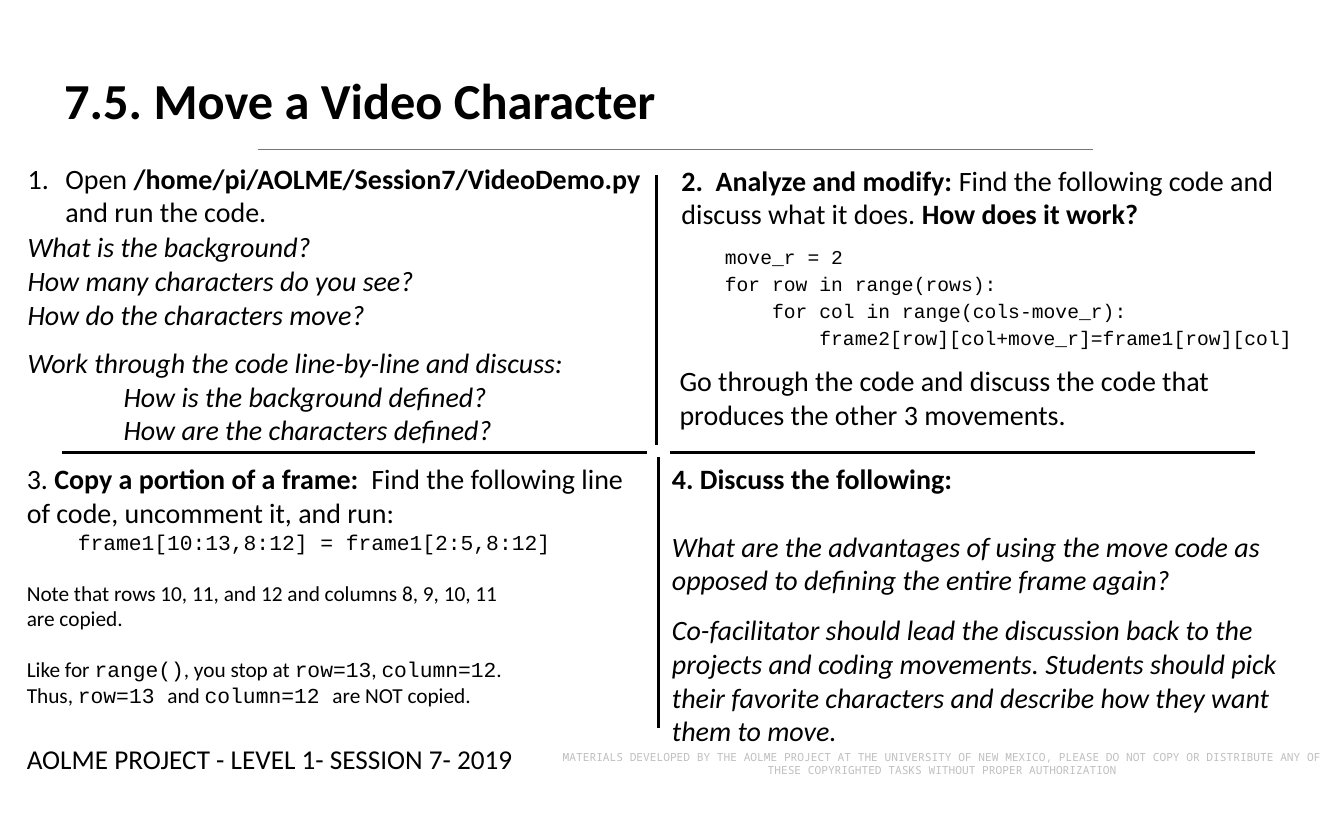
import collections
import pptx
import pptx.dml.color
import pptx.enum.shapes
import pptx.enum.text
import pptx.oxml.ns
import pptx.util
from lxml import etree

Cm, Pt = pptx.util.Cm, pptx.util.Pt
RGBColor = pptx.dml.color.RGBColor
Align = pptx.enum.text.PP_ALIGN
Anchor = pptx.enum.text.MSO_ANCHOR
Fit = pptx.enum.text.MSO_AUTO_SIZE
qn = pptx.oxml.ns.qn

BLACK = RGBColor(0x00, 0x00, 0x00)
GRAY = RGBColor(0x76, 0x76, 0x76)
PALE = RGBColor(0xBF, 0xBF, 0xBF)

BODY = {"name": "Calibri", "size": Pt(21), "bold": False, "italic": False}
BOLD = BODY | {"bold": True}
ASK = BODY | {"italic": True}
NOTE = BODY | {"size": Pt(16)}
CODE = NOTE | {"name": "Courier New"}
LOOP = CODE | {"size": Pt(14.7)}
HEAD = BOLD | {"size": Pt(37.8)}
FOOT = BODY | {"size": Pt(20.4)}
LEGAL = BODY | {"name": "Noto Sans Mono", "size": Pt(8.4)}

Box = collections.namedtuple("Box", "left top width height")


def part(box, left, top, width, height):
    """Give the box that lies at an offset inside another one."""
    return Box(box.left + left, box.top + top, width, height)


def put(item, style):
    for key, value in style.items():
        setattr(item, key, value)


def para(*runs, left=0, first=0, number=False, **style):
    """Describe a paragraph: (text, font) runs, indents in cm, settings."""
    return runs, left, first, number, style


def write(slide, box, paras, color=BLACK, **frame):
    text = slide.shapes.add_textbox(*map(Cm, box)).text_frame
    put(text, {"word_wrap": True, "auto_size": Fit.SHAPE_TO_FIT_TEXT} | frame)
    for at, (runs, left, first, number, style) in enumerate(paras):
        line = text.add_paragraph() if at else text.paragraphs[0]
        props = line._p.get_or_add_pPr()
        props.set("marL", str(Cm(left)))
        props.set("indent", str(Cm(first)))
        if number:
            etree.SubElement(props, qn("a:buAutoNum"), type="arabicPeriod")
        put(line, style)
        for words, font in runs:
            run = line.add_run()
            run.text = words
            put(run.font, font)
            run.font.color.rgb = color


def rule(slide, start, end, color=BLACK, width=2.25):
    kind = pptx.enum.shapes.MSO_CONNECTOR.STRAIGHT
    line = slide.shapes.add_connector(kind, *map(Cm, start + end))
    line.line.color.rgb = color
    line.line.width = Pt(width)
    etree.SubElement(line._element.spPr, qn("a:effectLst"))


def cross(slide, box):
    """Part the four tasks with two level and two upright rules."""
    mid = box.top + 7.34
    right = box.left + box.width
    span = 15.48
    for left in (box.left, right - span):
        rule(slide, (left, mid), (left + span, mid))
    for shift, top in ((15.72, box.top), (15.77, box.top + 7.47)):
        rule(slide, (box.left + shift, top + 7.16), (box.left + shift, top))


def title(slide, box):
    write(slide, box, [para(("7.5. Move a Video Character", HEAD))])
    top = box.top + 2.26
    rule(slide, (box.left + 5.38, top), (box.left + 27.46, top), GRAY, 1)


def start(slide, box):
    write(slide, box, [
        para(("Open ", BODY), ("/home/pi/AOLME/Session7/VideoDemo.py", BOLD),
             left=1, first=-1, number=True),
        para(("and run the code.", BODY), left=1),
        para(("What is the background?", ASK), space_before=Pt(1.2)),
        para(("How many characters do you see?", ASK)),
        para(("How do the characters move?", ASK)),
        para(("Work through the code line-by-line and discuss:", ASK),
             space_before=Pt(11)),
        para(("How is the background defined?", ASK), left=2.54),
        para(("How are the characters defined?", ASK), left=2.54),
    ])


def modify(slide, box):
    write(slide, part(box, 0.2, 0, 16.43, 2.06), [
        para(("2.  Analyze and modify: ", BOLD),
             ("Find the following code and discuss what it does. ", BODY),
             ("How does it work?", BOLD), left=0.05)])
    loop = ("move_r = 2",
            "for row in range(rows):",
            "    for col in range(cols-move_r):",
            "        frame2[row][col+move_r]=frame1[row][col]")
    write(slide, part(box, 0.05, 2.08, 17.32, 3.12), [
        para((code, LOOP), first=1.35, line_spacing=1.15) for code in loop])
    write(slide, part(box, 0.15, 5.31, 17.32, 2.06), [
        para(("Go through the code and discuss the code that produces "
              "the other 3 movements.", BODY), left=0.05)])


def clone(slide, box):
    write(slide, box, [
        para(("3. ", BODY), ("Copy a portion of a frame:  ", BOLD),
             ("Find the following line of code, uncomment it, and run:",
              BODY)),
        para(("    frame1[10:13,8:12] = frame1[2:5,8:12]", CODE)),
        para(("Note that rows 10, 11, and 12 and columns 8, 9, 10, 11", NOTE),
             space_before=Pt(19)),
        para(("are copied.", NOTE)),
        para(("Like for ", NOTE), ("range()", CODE),
             (", you stop at ", NOTE), ("row=13", CODE), (", ", NOTE),
             ("column=12", CODE), (".", NOTE), space_before=Pt(19)),
        para(("Thus, ", NOTE), ("row=13 ", CODE), ("and ", NOTE),
             ("column=12 ", CODE), ("are NOT copied.", NOTE)),
    ])


def discuss(slide, box):
    write(slide, box, [
        para(("4. Discuss the following:", BOLD)),
        para(("What are the advantages of using the move code as opposed to "
              "defining the entire frame again?", ASK),
             space_before=Pt(25.6)),
        para(("Co-facilitator should lead the discussion back to the "
              "projects and coding movements. Students should pick their "
              "favorite characters and describe how they want them to move.",
              ASK), space_before=Pt(12.2)),
    ])


def footer(slide, box):
    write(slide, part(box, 0, 0, 13.72, 1.12),
          [para(("AOLME PROJECT - LEVEL 1- SESSION 7- 2019", FOOT))],
          word_wrap=False)
    write(slide, part(box, 13.92, 0.18, 21.11, 1.02), [
        para(("MATERIALS DEVELOPED BY THE AOLME PROJECT AT THE UNIVERSITY OF "
              "NEW MEXICO, PLEASE DO NOT COPY OR DISTRIBUTE ANY OF THESE "
              "COPYRIGHTED TASKS WITHOUT PROPER AUTHORIZATION", LEGAL),
             alignment=Align.CENTER)],
          color=PALE, vertical_anchor=Anchor.MIDDLE)


def main():
    deck = pptx.Presentation()
    deck.slide_width, deck.slide_height = Cm(35.56), Cm(21.59)
    slide = deck.slides.add_slide(deck.slide_layouts[6])
    cross(slide, Box(1.65, 4.62, 31.55, 14.63))
    title(slide, Box(1.45, 1.7, 31.67, 1.88))
    start(slide, Box(0.48, 4.14, 17.86, 8.76))
    modify(slide, Box(17.53, 4.19, 17.5, 7.37))
    clone(slide, Box(0.46, 12.09, 16.94, 6.83))
    discuss(slide, Box(17.53, 12.09, 17.7, 7.95))
    footer(slide, Box(0.46, 19.51, 35.03, 1.2))
    deck.save("out.pptx")


if __name__ == "__main__":
    main()
